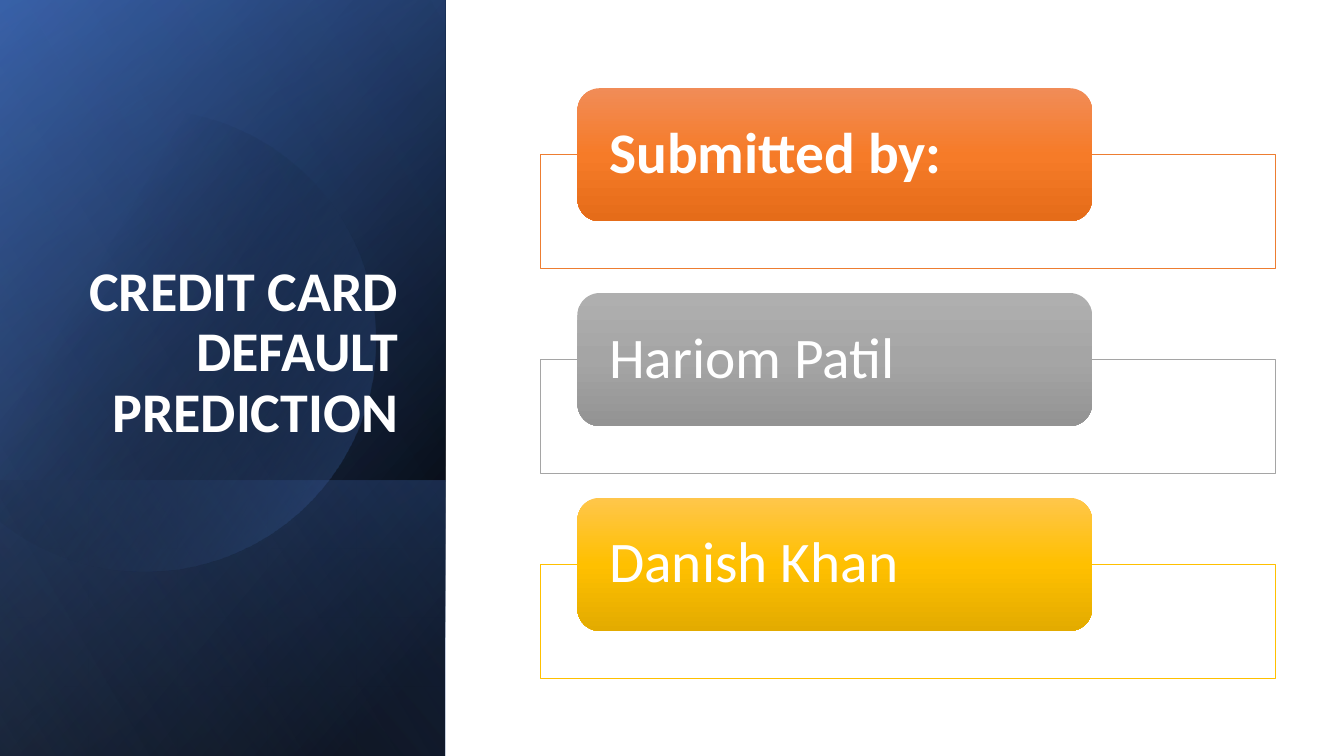
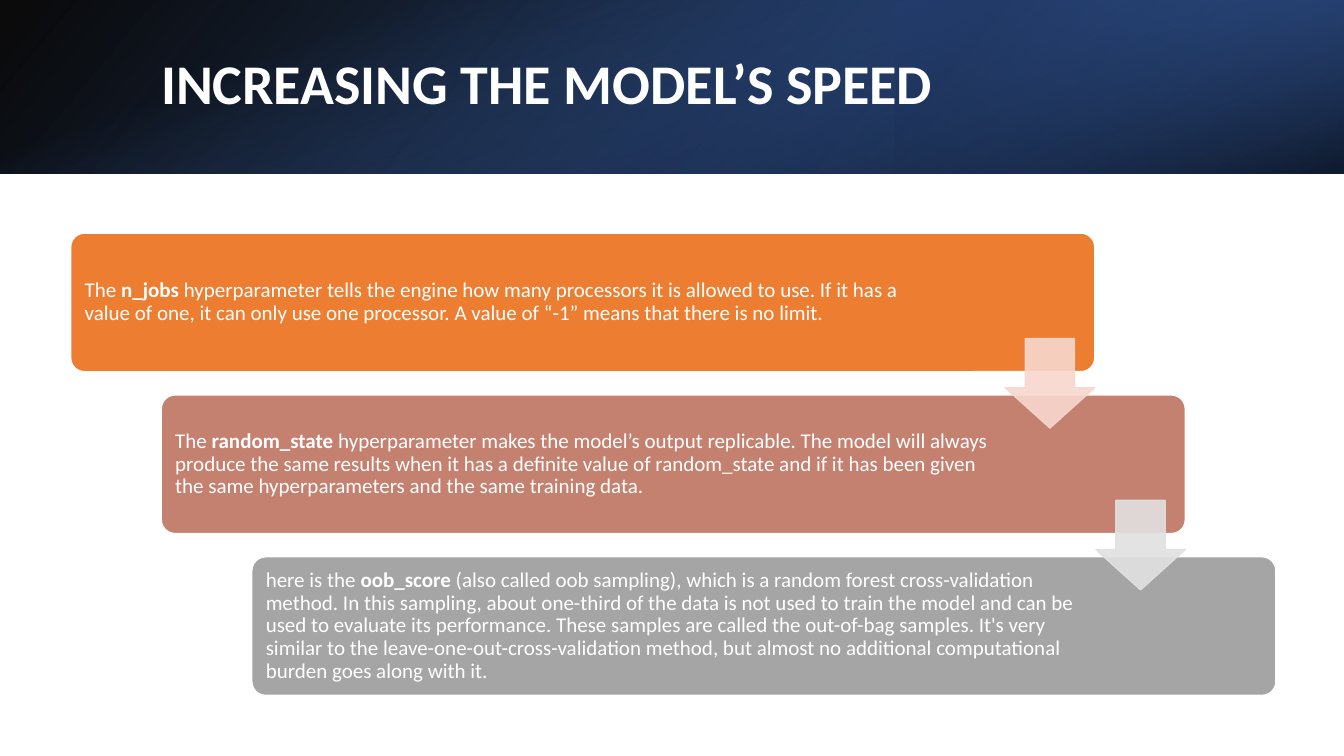
"""Build two slides on credit card default prediction."""
from math import acos, cos, sin

from lxml import etree
from pptx import Presentation
from pptx.dml.color import RGBColor
from pptx.enum.shapes import MSO_SHAPE
from pptx.enum.text import MSO_ANCHOR, PP_ALIGN
from pptx.oxml.ns import qn
from pptx.util import Pt

RECT = MSO_SHAPE.RECTANGLE
ROUNDED = MSO_SHAPE.ROUNDED_RECTANGLE
DOWN_ARROW = MSO_SHAPE.DOWN_ARROW
MIDDLE, BOTTOM = MSO_ANCHOR.MIDDLE, MSO_ANCHOR.BOTTOM
LEFT, RIGHT = PP_ALIGN.LEFT, PP_ALIGN.RIGHT

FONT = "Calibri"
WHITE, BLACK, BLUE, DEEP_BLUE = "FFFFFF", "000000", "4472C4", "2F5597"
SLIDE_W, SLIDE_H = 960, 540
SIDE_W, BAND_H = 318, 124

COVER_TITLE = "CREDIT CARD DEFAULT PREDICTION"
SPEED_TITLE = "INCREASING THE MODEL’S SPEED"

SIDE = (0, 0, SIDE_W, SLIDE_H)
SIDE_FOOT = (0, 343, SIDE_W, SLIDE_H - 343)
SIDE_LAYERS = [
    (SIDE, [(8, BLACK, 100), (100, DEEP_BLUE, 100)], 50, 90, True),
    (SIDE, [(0, BLACK, 0), (99, BLUE, 46)], 30, 90, True),
    (SIDE_FOOT, [(2, BLUE, 29), (100, BLACK, 30)], 130, 90, True),
]
SIDE_GLOW = (SIDE, [(0, BLACK, 0), (99, "8FAADC", 11)], 120, 90, True)
DISC_STOPS = [(29, BLACK, 0), (100, BLUE, 43)]

BAND = (0, 0, SLIDE_W, BAND_H)
BAND_END = (640, 0, SLIDE_W - 640, BAND_H)
BAND_LAYERS = [
    (BAND, [(0, BLACK, 96), (100, DEEP_BLUE, 100)], 140, 0, True),
    (BAND_END, [(19, "203864", 68), (100, BLUE, 79)], 320, 180, True),
    (BAND, [(23, BLUE, 0), (99, BLACK, 74)], 340, 90, False),
]

SUBMITTERS = [
    ("Submitted by:", True, "ED7D31", ("F18C57", "F67B28", "E56C19")),
    ("Hariom Patil", False, "A5A5A5", ("AFAFAF", "A5A5A5", "939393")),
    ("Danish Khan", False, "FFC000", ("FFC64B", "FFC000", "E3AB00")),
]

PARAMETERS = [
    ("ED7D31", "F8D7CE", [
        ("The ", False), ("n_jobs", True),
        (" hyperparameter tells the engine how many processors it is allowed to use. "
         "If it has a value of one, it can only use one processor. "
         "A value of “-1” means that there is no limit.", False)]),
    ("C48170", "E1E1E1", [
        ("The", False), (" random_state ", True),
        ("hyperparameter makes the model’s output replicable. The model will always "
         "produce the same results when it has a definite value of random_state and if "
         "it has been given the same hyperparameters and the same training data.", False)]),
    ("A5A5A5", None, [
        ("here is the ", False), ("oob_score", True),
        (" (also called oob sampling), which is a random forest cross-validation method. "
         "In this sampling, about one-third of the data is not used to train the model "
         "and can be used to evaluate its performance. These samples are called the "
         "out-of-bag samples. It's very similar to the leave-one-out-cross-validation "
         "method, but almost no additional computational burden goes along with it.", False)]),
]


def rgb(color):
    return RGBColor.from_string(color)


def set_alpha(color_element, percent):
    etree.SubElement(color_element, qn("a:alpha")).set("val", str(percent * 1000))


def fill_gradient(shape, stops, angle):
    shape.fill.gradient()
    gradient = shape._element.spPr.find(qn("a:gradFill"))
    stop_list = gradient.find(qn("a:gsLst"))
    for old_stop in list(stop_list):
        stop_list.remove(old_stop)
    for position, color, opacity in stops:
        stop = etree.SubElement(stop_list, qn("a:gs"))
        stop.set("pos", str(position * 1000))
        color_element = etree.SubElement(stop, qn("a:srgbClr"))
        color_element.set("val", color)
        if opacity < 100:
            set_alpha(color_element, opacity)
    gradient.find(qn("a:lin")).set("ang", str(angle * 60000))


def add_box(slide, kind, box, fill=None, line=None, line_width=1):
    shape = slide.shapes.add_shape(kind, *map(Pt, box))
    shape.shadow.inherit = False
    if fill:
        shape.fill.solid()
        shape.fill.fore_color.rgb = rgb(fill)
    if line:
        shape.line.color.rgb = rgb(line)
        shape.line.width = Pt(line_width)
    else:
        shape.line.fill.background()
    return shape


def add_layer(slide, visible, stops, angle, turn, mirrored):
    left, top, width, height = visible
    if turn == 90:
        shift = (width - height) / 2
        left, top, width, height = left + shift, top - shift, height, width
    layer = add_box(slide, RECT, (left, top, width, height))
    layer.rotation = turn
    if mirrored:
        layer._element.spPr.find(qn("a:xfrm")).set("flipH", "1")
    fill_gradient(layer, stops, angle)


def add_disc(slide, center_x=103, center_y=243.5, radius=165, steps=90):
    """Draw a disc cut off by the left edge of the slide."""
    cut = acos(-center_x / radius)
    angles = [cut * (2 * step / steps - 1) for step in range(steps + 1)]
    points = [(Pt(center_x + radius * cos(a)), Pt(center_y + radius * sin(a)))
              for a in angles]
    outline = slide.shapes.build_freeform(*points[0])
    outline.add_line_segments(points[1:], close=True)
    disc = outline.convert_to_shape()
    disc.shadow.inherit = False
    disc.line.fill.background()
    fill_gradient(disc, DISC_STOPS, 30)


def write(shape, runs, size, anchor=MIDDLE, align=LEFT, insets=(7.2, 3.6, 7.2, 3.6)):
    frame = shape.text_frame
    frame.word_wrap = True
    frame.vertical_anchor = anchor
    (frame.margin_left, frame.margin_top,
     frame.margin_right, frame.margin_bottom) = map(Pt, insets)
    paragraph = frame.paragraphs[0]
    paragraph.alignment = align
    paragraph.line_spacing = 0.9
    for text, bold in runs:
        run = paragraph.add_run()
        run.text = text
        run.font.name = FONT
        run.font.size = Pt(size)
        run.font.bold = bold
        run.font.color.rgb = rgb(WHITE)


def add_title(slide, text, box, anchor=MIDDLE, align=LEFT):
    title = slide.shapes.add_textbox(*map(Pt, box))
    write(title, [(text, True)], 40, anchor, align)


def add_arrow(slide, box, color):
    arrow = add_box(slide, DOWN_ARROW, box, color, color)
    arrow.adjustments[0], arrow.adjustments[1] = 0.55, 0.45
    for color_element in arrow._element.spPr.iter(qn("a:srgbClr")):
        set_alpha(color_element, 90)


def build_cover(slide):
    for layer in SIDE_LAYERS:
        add_layer(slide, *layer)
    add_disc(slide)
    add_layer(slide, *SIDE_GLOW)
    add_title(slide, COVER_TITLE, (46, 132.5, 245.5, 188.5), BOTTOM, RIGHT)
    for index, (name, bold, line, shades) in enumerate(SUBMITTERS):
        top = 63 + 146.3 * index
        add_box(slide, RECT, (386, top + 47.5, 525, 81.5), WHITE, line, 0.5)
        label = add_box(slide, ROUNDED, (412.5, top, 367.5, 95))
        fill_gradient(label, [(50 * i, shade, 100) for i, shade in enumerate(shades)], 90)
        write(label, [(name, bold)], 41, insets=(18, 0, 18, 0))


def build_speed(slide):
    for layer in BAND_LAYERS:
        add_layer(slide, *layer)
    add_title(slide, SPEED_TITLE, (108, 27, 790, 69))
    width, height, step_x, step_y, arrow_size = 731.5, 99, 64.7, 115.6, 64
    arrows = []
    for index, (color, arrow_color, runs) in enumerate(PARAMETERS):
        left, top = 50.5 + step_x * index, 166.5 + step_y * index
        card = add_box(slide, ROUNDED, (left, top, width, height), color, WHITE)
        card.adjustments[0] = 0.1
        write(card, runs, 15, insets=(7.2, 7.2, 136, 7.2))
        if arrow_color:
            arrow_top = top + (height + step_y - arrow_size) / 2
            arrows.append(((left + width - arrow_size, arrow_top, arrow_size, arrow_size),
                           arrow_color))
    for box, color in arrows:
        add_arrow(slide, box, color)


def main():
    deck = Presentation()
    deck.slide_width, deck.slide_height = Pt(SLIDE_W), Pt(SLIDE_H)
    for build in (build_cover, build_speed):
        build(deck.slides.add_slide(deck.slide_layouts[6]))
    deck.save("out.pptx")


if __name__ == "__main__":
    main()
